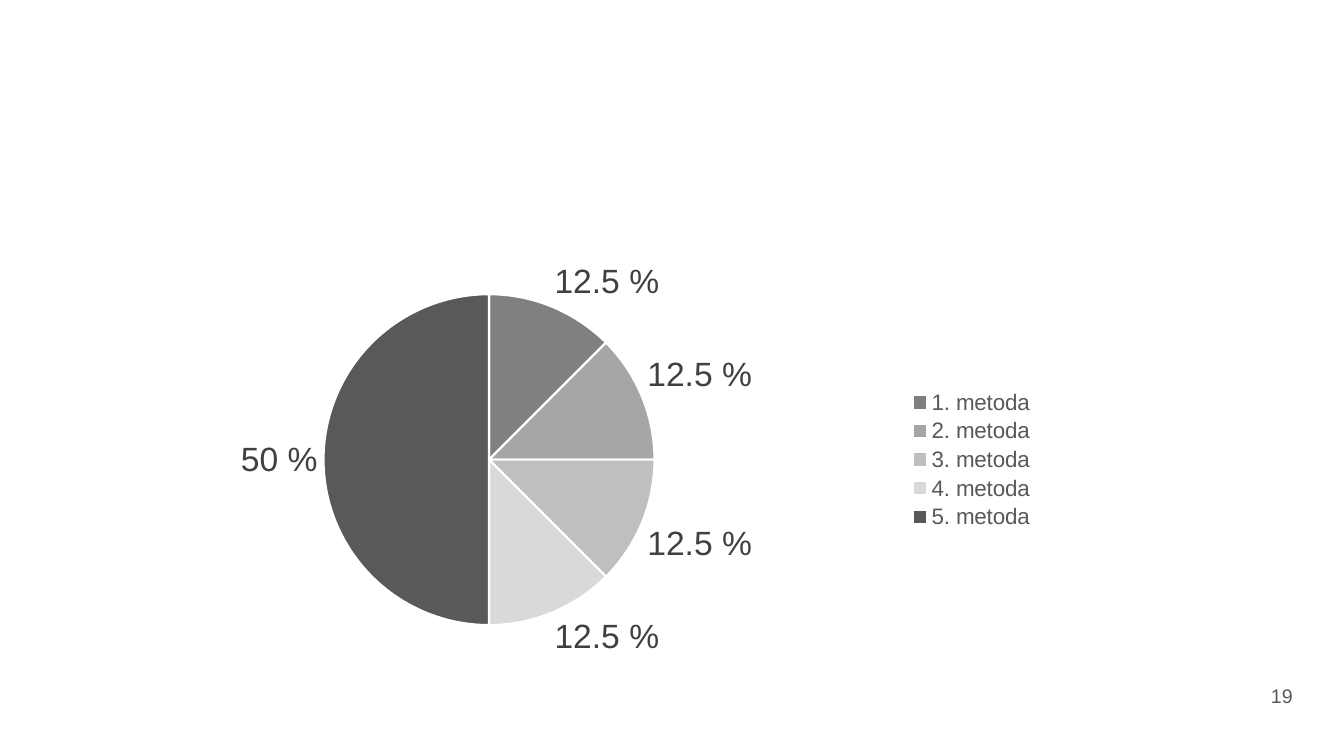
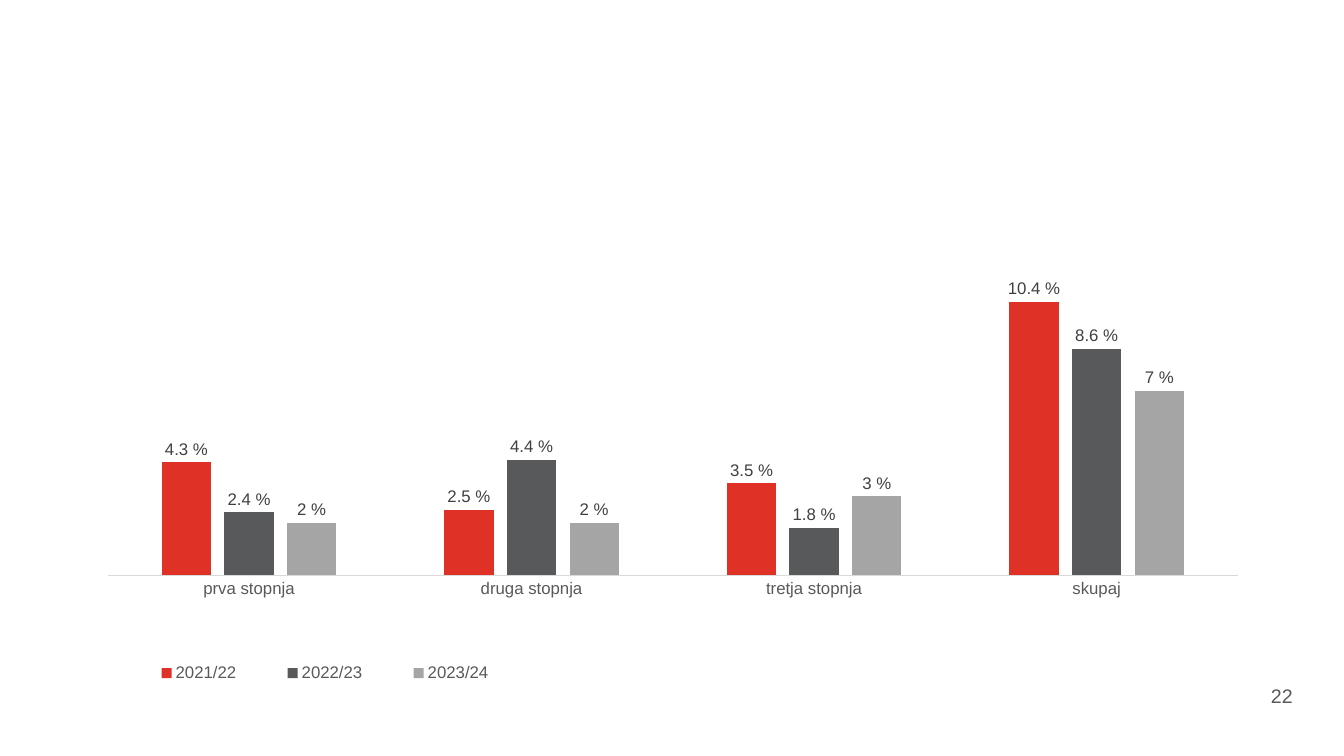
from lxml import etree
from pptx import Presentation
from pptx import util as u
from pptx.chart.data import CategoryChartData
from pptx.dml.color import RGBColor
from pptx.enum import chart as c
from pptx.enum import text
from pptx.oxml.ns import qn

FONT = "Arial"
COLORS = {
    "red": "E03127",
    "charcoal": "58595B",
    "label": "404040",
    "caption": "595959",
    "axis": "D9D9D9",
    "white": "FFFFFF",
    "silver": "A5A5A5",
}
PIE_COLORS = ["808080", "A6A6A6", "BFBFBF", "D9D9D9", COLORS["charcoal"]]
BAR_COLORS = [COLORS["red"], COLORS["charcoal"], COLORS["silver"]]
PERCENT = 'General" %"'


def rgb(value):
    return RGBColor.from_string(value)


def style_font(font, size, color):
    font.name = FONT
    font.size = u.Pt(size)
    font.bold = False
    font.color.rgb = rgb(color)


def paint(fill, color):
    fill.solid()
    fill.fore_color.rgb = rgb(color)


def make_layout(target, **parts):
    layout = etree.Element(qn("c:layout"))
    manual = etree.SubElement(layout, qn("c:manualLayout"))
    if target:
        etree.SubElement(manual, qn("c:layoutTarget")).set("val", target)
    for name, value in parts.items():
        etree.SubElement(manual, qn("c:" + name)).set("val", str(value))
    return layout


def set_layout(parent, index, x, y, width, height, target=None):
    for old in parent.findall(qn("c:layout")):
        parent.remove(old)
    parent.insert(index, make_layout(
        target, xMode="edge", yMode="edge", x=x, y=y, w=width, h=height))


def add_slide(presentation, number):
    slide = presentation.slides.add_slide(presentation.slide_layouts[6])
    box = slide.shapes.add_textbox(
        u.Inches(12.08), u.Inches(6.7), u.Inches(0.84), u.Inches(0.4))
    frame = box.text_frame
    frame.word_wrap = True
    frame.vertical_anchor = text.MSO_ANCHOR.MIDDLE
    paragraph = frame.paragraphs[0]
    paragraph.text = str(number)
    paragraph.alignment = text.PP_ALIGN.RIGHT
    style_font(paragraph.font, 14, COLORS["charcoal"])
    return slide


def add_chart(slide, kind, width, height, categories, series,
              legend_position, legend_size, label_size):
    data = CategoryChartData(number_format=PERCENT)
    data.categories = categories
    for name, values in series:
        data.add_series(name, values)
    chart = slide.shapes.add_chart(
        kind, u.Inches(0.92), u.Inches(2.42),
        u.Inches(width), u.Inches(height), data).chart
    chart.has_title = False
    chart.font.name = "Calibri"
    chart.font.size = u.Pt(10)
    chart.has_legend = True
    chart.legend.position = legend_position
    chart.legend.include_in_layout = False
    style_font(chart.legend.font, legend_size, COLORS["caption"])
    for one_series in chart.plots[0].series:
        labels = one_series.data_labels
        labels.show_value = True
        labels.number_format = PERCENT
        labels.number_format_is_linked = False
        labels.position = c.XL_LABEL_POSITION.OUTSIDE_END
        style_font(labels.font, label_size, COLORS["label"])
    return chart


def add_method_pie(slide):
    chart = add_chart(
        slide, c.XL_CHART_TYPE.PIE, 9.45, 4.28,
        [f"{number}. metoda" for number in range(1, 6)],
        [("Series 1", [12.5] * 4 + [50])],
        c.XL_LEGEND_POSITION.RIGHT, 16, 24)
    chart.plots[0].vary_by_categories = True
    points = chart.plots[0].series[0].points
    for index, color in enumerate(PIE_COLORS):
        slice_format = points[index].format
        paint(slice_format.fill, color)
        slice_format.line.color.rgb = rgb(COLORS["white"])
        slice_format.line.width = u.Pt(1.5)


def add_level_columns(slide):
    chart = add_chart(
        slide, c.XL_CHART_TYPE.COLUMN_CLUSTERED, 11.52, 4.68,
        ["prva stopnja", "druga stopnja", "tretja stopnja", "skupaj"],
        [("2021/22", [4.3, 2.5, 3.5, 10.4]),
         ("2022/23", [2.4, 4.4, 1.8, 8.6]),
         ("2023/24", [2, 2, 3, 7])],
        c.XL_LEGEND_POSITION.BOTTOM, 12, 12)
    plot = chart.plots[0]
    plot.vary_by_categories = False
    plot.gap_width = 219
    plot.overlap = -27
    for series, color in zip(plot.series, BAR_COLORS):
        paint(series.format.fill, color)
    value_axis = chart.value_axis
    value_axis.has_major_gridlines = False
    value_axis.minimum_scale = 0
    value_axis.maximum_scale = 12
    value_axis.visible = False
    category_axis = chart.category_axis
    category_axis.major_tick_mark = c.XL_TICK_MARK.NONE
    category_axis.format.line.color.rgb = rgb(COLORS["axis"])
    category_axis.format.line.width = u.Pt(0.75)
    style_font(category_axis.tick_labels.font, 12, COLORS["caption"])
    plot_area = chart.element.find(".//" + qn("c:plotArea"))
    set_layout(plot_area, 0, 0.013, 0.033, 0.973, 0.67, "inner")
    legend = chart.element.find(".//" + qn("c:legend"))
    set_layout(legend, 1, 0.02, 0.87, 0.36, 0.08)


def main():
    presentation = Presentation()
    presentation.slide_width = u.Inches(13.33)
    presentation.slide_height = u.Inches(7.5)
    add_method_pie(add_slide(presentation, 19))
    add_level_columns(add_slide(presentation, 22))
    presentation.save("out.pptx")


if __name__ == "__main__":
    main()
